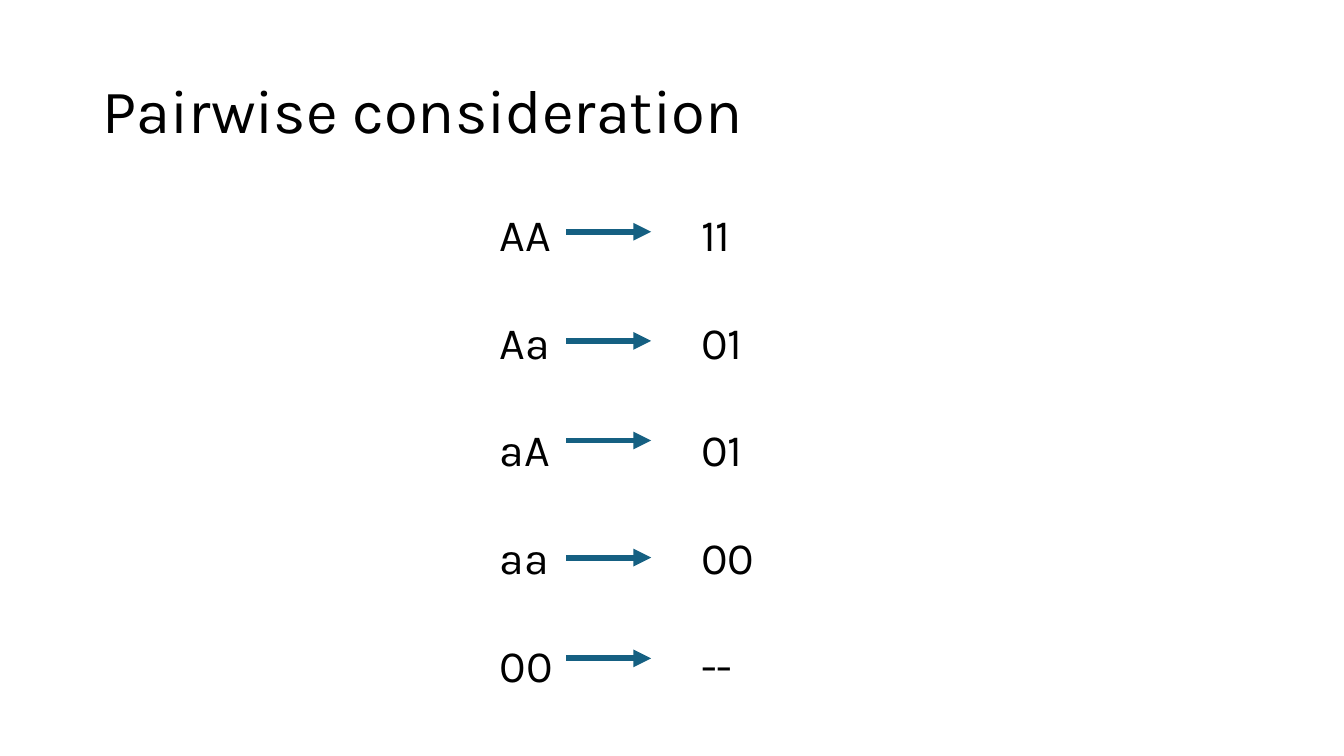
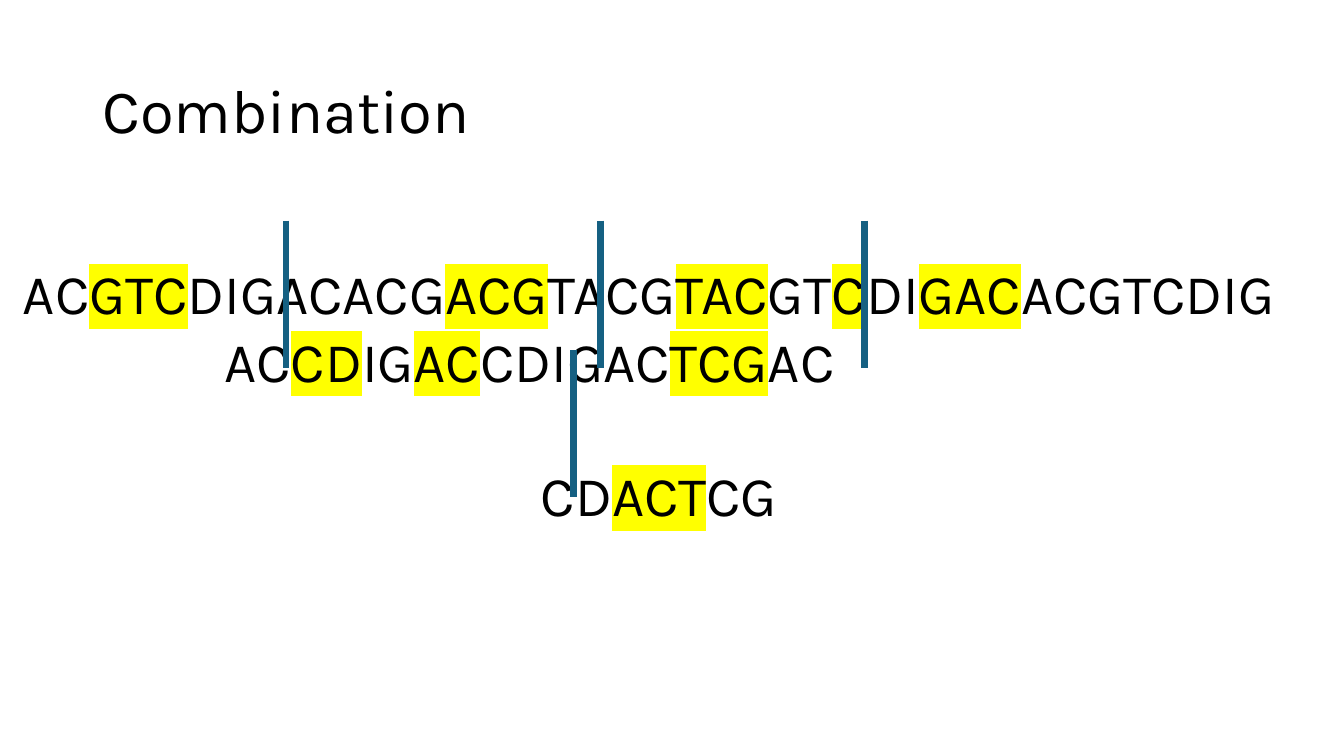
from lxml.etree import SubElement
from pptx import Presentation
from pptx.dml.color import RGBColor
from pptx.enum.shapes import MSO_CONNECTOR
from pptx.enum.text import MSO_ANCHOR, MSO_AUTO_SIZE, PP_ALIGN
from pptx.oxml.ns import qn
from pptx.util import Cm, Pt

STRAIGHT = MSO_CONNECTOR.STRAIGHT
MIDDLE, TOP = MSO_ANCHOR.MIDDLE, MSO_ANCHOR.TOP
LEFT = PP_ALIGN.LEFT
NO_FIT = MSO_AUTO_SIZE.NONE
TITLE_ONLY = 5

COLORS = {"text": "000000", "line": "156082", "mark": "FFFF00"}
FONT = "Karla"
TITLE_FORMAT = {"name": FONT, "size": Pt(44)}
PAIR_FORMAT = {"name": FONT, "size": Pt(32)}
SEQUENCE_FORMAT = {"name": FONT, "size": Pt(40)}
LINE_HEIGHT = 1.205  # natural line height of the font, in ems

# Genotype, code and height of the arrow between them (cm)
PAIRS = [
    ("AA", "11", 5.84),
    ("Aa", "01", 8.59),
    ("aA", "01", 11.1),
    ("aa", "00", 14.05),
    ("00", "--", 16.59),
]

# Indent (cm), empty lines above, and text whose parts between bars are marked
SEQUENCES = [
    (0, 0, "AC|GTC|DIGACACG|ACG|TACG|TAC|GT|C|DI|GAC|ACGTCDIG"),
    (5.08, 0, "AC|CD|IG|AC|CDIGAC|TCG|AC"),
    (13.05, 1, "CD|ACT|CG"),
]

# Left and top of each cut (cm)
CUTS = [(7.21, 5.56), (15.14, 5.56), (21.79, 5.56), (14.45, 8.81)]
CUT_LENGTH = 3.72


def set_all(target, values):
    for name, value in values.items():
        setattr(target, name, value)


def place(shape, left, top, width, height):
    set_all(shape, {"left": Cm(left), "top": Cm(top),
                    "width": Cm(width), "height": Cm(height)})


def add_span(para, text, font_format, marked=False):
    span = para.add_run()
    span.text = text
    set_all(span.font, font_format)
    span.font.color.rgb = RGBColor.from_string(COLORS["text"])
    if marked:
        properties = span.font._element
        highlight = SubElement(properties, qn("a:highlight"))
        SubElement(highlight, qn("a:srgbClr"), val=COLORS["mark"])
        properties.find(qn("a:solidFill")).addnext(highlight)


def add_page(deck, title):
    page = deck.slides.add_slide(deck.slide_layouts[TITLE_ONLY])
    box = page.shapes.title
    place(box, 2.33, 1.01, 29.21, 3.68)
    set_all(box.text_frame, {"auto_size": NO_FIT, "word_wrap": True,
                             "vertical_anchor": MIDDLE})
    para = box.text_frame.paragraphs[0]
    set_all(para, {"alignment": LEFT, "line_spacing": 0.9})
    add_span(para, title, TITLE_FORMAT)
    return page


def add_text_box(shapes, left, top, width, height):
    box = shapes.add_textbox(Cm(left), Cm(top), Cm(width), Cm(height))
    set_all(box.text_frame, {"word_wrap": True, "auto_size": NO_FIT,
                             "vertical_anchor": TOP})
    return box.text_frame


def add_para(frame, index, font_format, empty_lines=0):
    para = frame.add_paragraph() if index else frame.paragraphs[0]
    para.alignment = LEFT
    gap = font_format["size"].pt * LINE_HEIGHT * empty_lines
    para.space_before = Pt(round(gap, 1))
    return para


def add_line(shapes, start, end, weight, arrow=False):
    line = shapes.add_connector(STRAIGHT, *map(Cm, start + end))
    line.line.color.rgb = RGBColor.from_string(COLORS["line"])
    line.line.width = Pt(weight)
    properties = line._element.spPr
    if arrow:
        SubElement(properties.find(qn("a:ln")), qn("a:tailEnd"), type="triangle")
    SubElement(properties, qn("a:effectLst"))


def build_pairs(deck):
    page = add_page(deck, "Pairwise consideration")
    shapes = page.shapes.add_group_shape().shapes

    # Genotypes and codes, aligned by a tab stop
    frame = add_text_box(shapes, 12.34, 5.08, 7.19, 12.57)
    for index, (genotype, code, _) in enumerate(PAIRS):
        para = add_para(frame, index, PAIR_FORMAT, 1 if index else 0)
        stops = SubElement(para._p.get_or_add_pPr(), qn("a:tabLst"))
        SubElement(stops, qn("a:tab"), pos=str(Cm(5.08)), algn="l")
        add_span(para, f"{genotype}\t{code}", PAIR_FORMAT)

    # Arrows
    for _, _, top in PAIRS:
        add_line(shapes, (14.27, top), (16.41, top), 4.25, arrow=True)


def build_combination(deck):
    page = add_page(deck, "Combination")

    # Sequences with marked stretches
    frame = add_text_box(page.shapes, 0.33, 6.4, 33.5, 10)
    for index, (indent, empty_lines, sequence) in enumerate(SEQUENCES):
        para = add_para(frame, index, SEQUENCE_FORMAT, empty_lines)
        para._p.get_or_add_pPr().set("marL", str(Cm(indent)))
        for part, text in enumerate(sequence.split("|")):
            add_span(para, text, SEQUENCE_FORMAT, marked=part % 2 == 1)

    # Cuts
    for left, top in CUTS:
        add_line(page.shapes, (left, top), (left, top + CUT_LENGTH), 4.75)


def main():
    deck = Presentation()
    set_all(deck, {"slide_width": Cm(33.87), "slide_height": Cm(19.05)})
    build_pairs(deck)
    build_combination(deck)
    deck.save("out.pptx")


if __name__ == "__main__":
    main()
